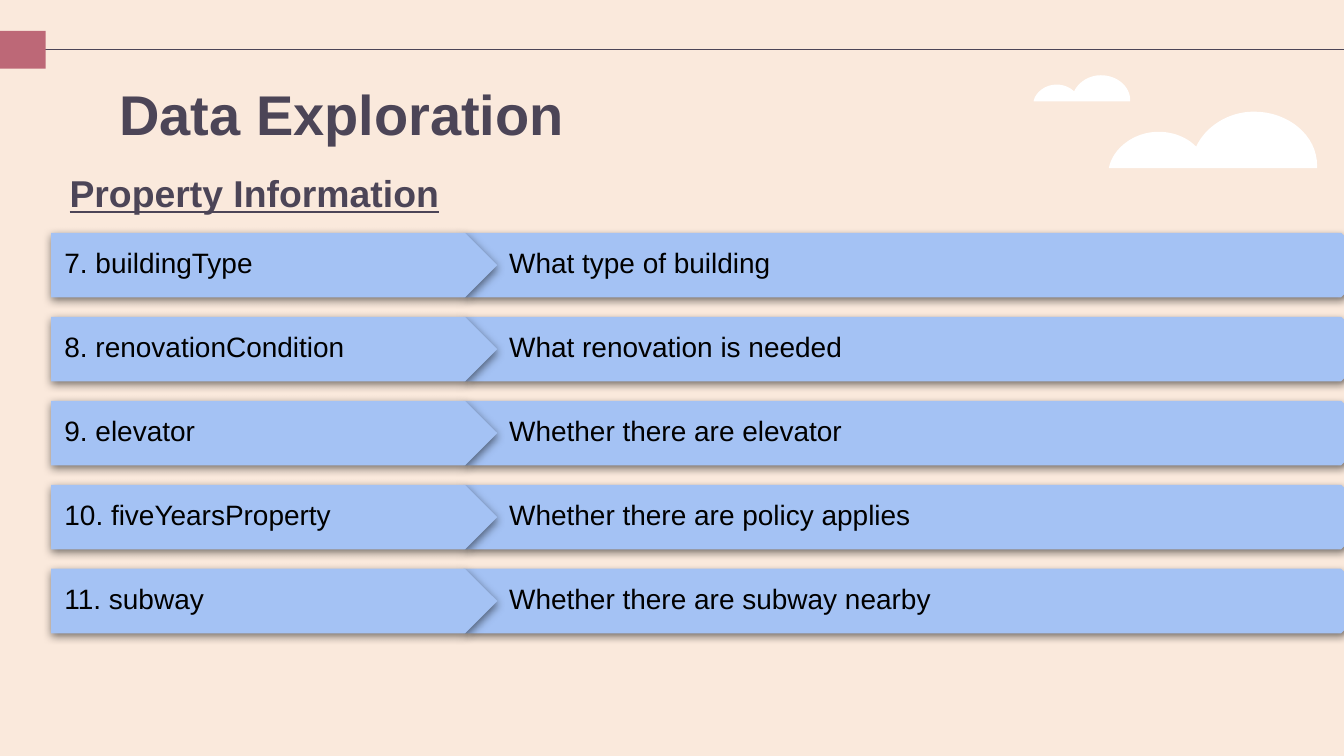
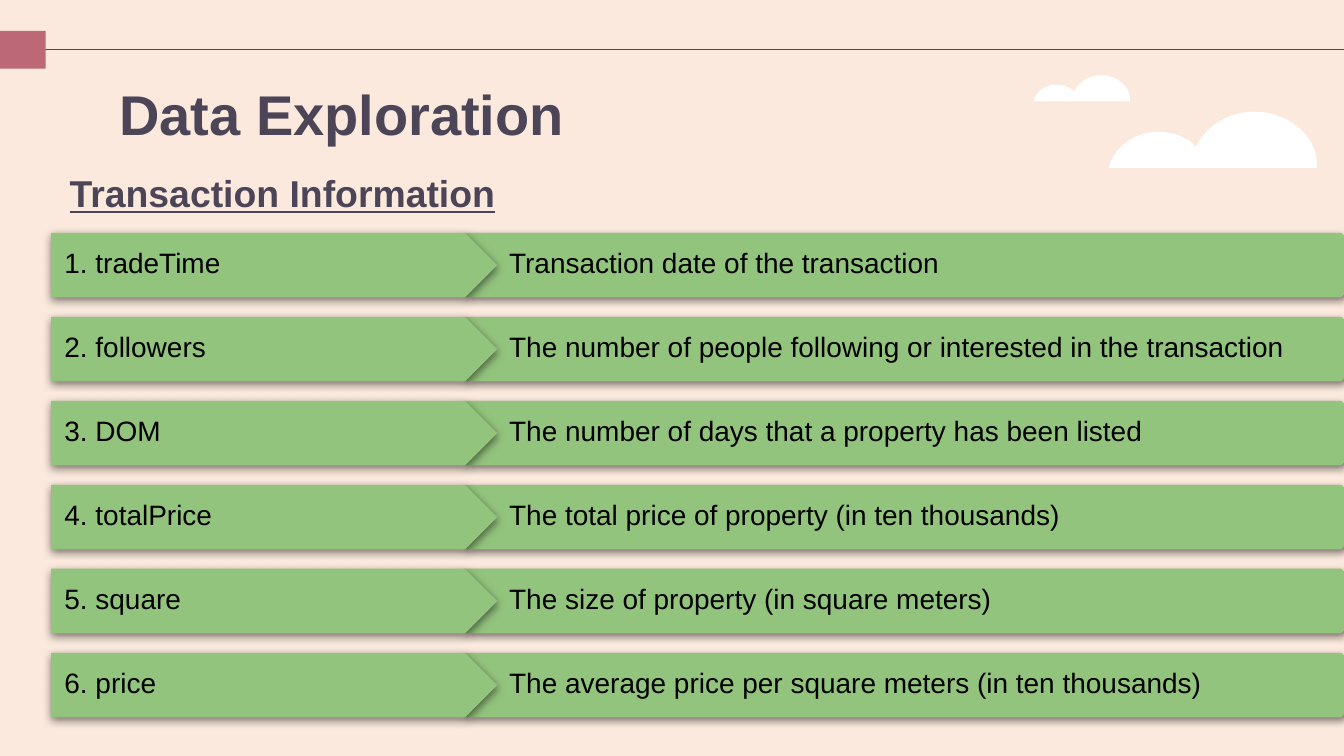
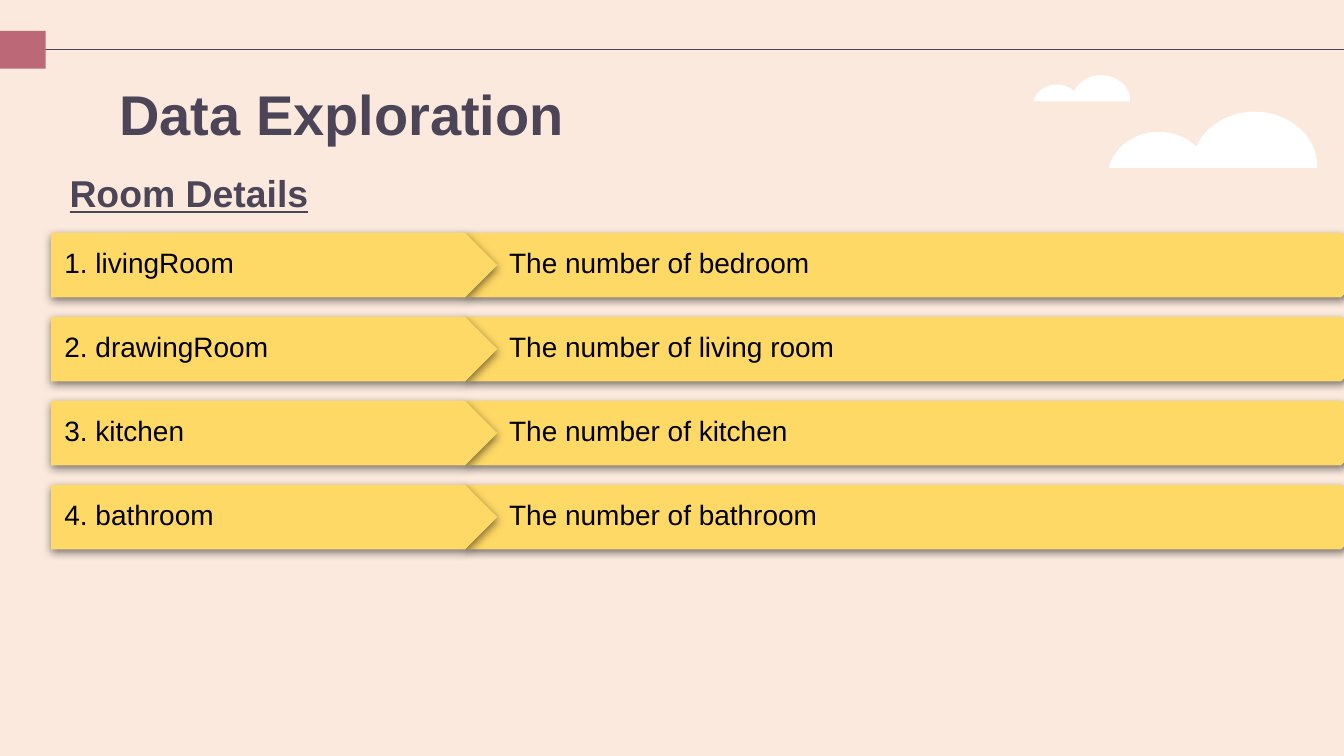
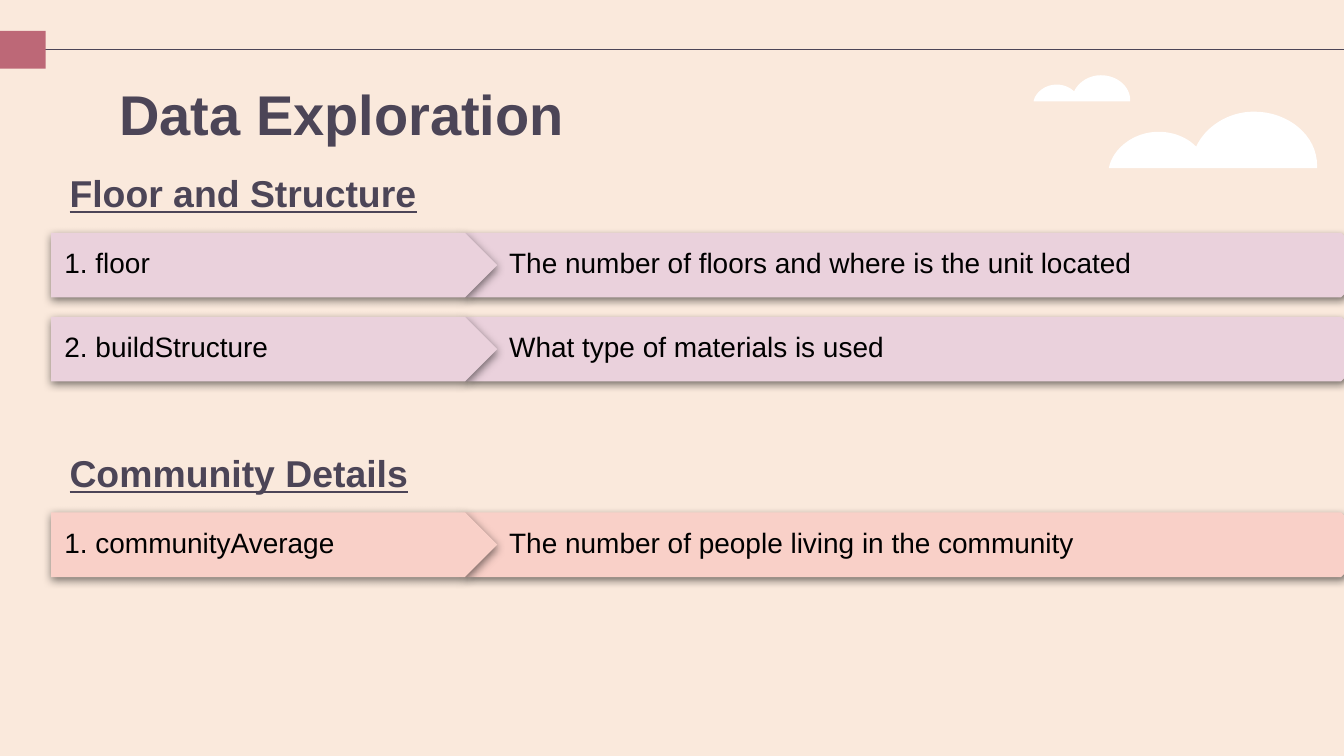
"""Build four slides that describe the variables of a housing data set."""
from lxml import etree
from pptx import Presentation
from pptx import util as u
from pptx.dml.color import RGBColor
from pptx.enum import shapes, text
from pptx.oxml import ns

COLORS = {
    "page": "FAE9DC", "ink": "4C4557", "tab": "BD6877", "cloud": "FFFFFF", "label": "000000",
    "blue": "A4C2F4", "green": "93C47D", "yellow": "FFD966", "mauve": "EAD1DC", "coral": "F9D0C8",
}

TITLE = "Data Exploration"

PAGES = [
    [("Property Information", "blue", 84.2, [
        ("7. buildingType", "What type of building"),
        ("8. renovationCondition", "What renovation is needed"),
        ("9. elevator", "Whether there are elevator"),
        ("10. fiveYearsProperty", "Whether there are policy applies"),
        ("11. subway", "Whether there are subway nearby"),
    ])],
    [("Transaction Information", "green", 84.2, [
        ("1. tradeTime", "Transaction date of the transaction"),
        ("2. followers", "The number of people following or interested in the transaction"),
        ("3. DOM", "The number of days that a property has been listed"),
        ("4. totalPrice", "The total price of property (in ten thousands)"),
        ("5. square", "The size of property (in square meters)"),
        ("6. price", "The average price per square meters (in ten thousands)"),
    ])],
    [("Room Details", "yellow", 84.2, [
        ("1. livingRoom", "The number of bedroom"),
        ("2. drawingRoom", "The number of living room"),
        ("3. kitchen", "The number of kitchen"),
        ("4. bathroom", "The number of bathroom"),
    ])],
    [("Floor and Structure", "mauve", 84.2, [
        ("1. floor", "The number of floors and where is the unit located"),
        ("2. buildStructure", "What type of materials is used"),
    ]), ("Community Details", "coral", 234, [
        ("1. communityAverage", "The number of people living in the community"),
    ])],
]

FORMATS = {
    "title": {"size": u.Pt(30), "bold": True},
    "heading": {"size": u.Pt(20), "bold": True, "underline": True},
    "row": {"size": u.Pt(15)},
}

INSET = 7.2
ROW_OFFSET, ROW_PITCH, ROW_HEIGHT = 40.5, 45, 34.6
NAME_LEFT, NAME_WIDTH = 27.4, 239
MEANING_LEFT, MEANING_WIDTH = 248.4, 487.4

CLOUD_WIDTH = 155
CLOUD_START = (155, 40)
CLOUD_CURVES = [
    [(155, 18), (134, 0), (108, 0)],
    [(89, 0), (72, 11), (65, 26)],
    [(58, 19), (48, 15), (37, 15)],
    [(19, 15), (3, 27), (0, 42)],
]
CLOUD_BASE = (155, 42)
CLOUDS = [(594, 59.8, 111.6), (553.7, 40.3, 51.8)]
CURVE_STEPS = 16


def color(name):
    return RGBColor.from_string(COLORS[name])


def points(*lengths):
    return [u.Pt(length) for length in lengths]


def paint(shape, fill):
    shape.shadow.inherit = False
    shape.fill.solid()
    shape.fill.fore_color.rgb = color(fill)
    shape.line.fill.background()


def write(shape, words, style, ink, anchor=text.MSO_ANCHOR.TOP, spacing=None):
    frame = shape.text_frame
    frame.word_wrap = True
    frame.vertical_anchor = anchor
    for side in ("left", "top", "right", "bottom"):
        setattr(frame, f"margin_{side}", u.Pt(INSET))
    para = frame.paragraphs[0]
    para.alignment = text.PP_ALIGN.LEFT
    para.line_spacing = spacing
    span = para.add_run()
    span.text = words
    span.font.name = "Arial"
    span.font.color.rgb = color(ink)
    for key, value in FORMATS[style].items():
        setattr(span.font, key, value)


def add_text(page, words, style, *place):
    write(page.shapes.add_textbox(*points(*place)), words, style, "ink")


def cast_shadow(shape):
    effects = shape._element.spPr.find(ns.qn("a:effectLst"))
    shadow = etree.SubElement(effects, ns.qn("a:outerShdw"), blurRad=str(u.Pt(4.5)),
                              dist=str(u.Pt(1.5)), dir="5400000", algn="bl", rotWithShape="0")
    tint = etree.SubElement(shadow, ns.qn("a:srgbClr"), val="000000")
    etree.SubElement(tint, ns.qn("a:alpha"), val="50000")


def add_arrow(page, kind, words, fill, *place):
    arrow = page.shapes.add_shape(kind, *points(*place))
    arrow.adjustments[0] = 0.5
    paint(arrow, fill)
    cast_shadow(arrow)
    write(arrow, words, "row", "label", text.MSO_ANCHOR.MIDDLE, 0.85)


def cloud_outline():
    outline = [CLOUD_START]
    for first, second, end in CLOUD_CURVES:
        start = outline[-1]
        for step in range(1, CURVE_STEPS + 1):
            t = step / CURVE_STEPS
            weights = ((1 - t) ** 3, 3 * t * (1 - t) ** 2, 3 * t ** 2 * (1 - t), t ** 3)
            corners = (start, first, second, end)
            outline.append(tuple(sum(w * corner[axis] for w, corner in zip(weights, corners))
                                 for axis in (0, 1)))
    return outline + [CLOUD_BASE]


def add_clouds(page):
    group = page.shapes.add_group_shape()
    for left, top, width in CLOUDS:
        scale = width / CLOUD_WIDTH
        outline = [points(left + x * scale, top + y * scale) for x, y in cloud_outline()]
        builder = group.shapes.build_freeform(*outline[0])
        builder.add_line_segments(outline[1:], close=True)
        paint(builder.convert_to_shape(), "cloud")


def add_frame(page):
    rule = page.shapes.add_connector(shapes.MSO_CONNECTOR.STRAIGHT, *points(0, 26.6, 720.7, 26.6))
    rule.line.color.rgb = color("ink")
    rule.line.width = u.Pt(0.75)
    etree.SubElement(rule._element.spPr, ns.qn("a:effectLst"))
    tab = page.shapes.add_shape(shapes.MSO_SHAPE.RECTANGLE, *points(2.2, 14.4, 20.2, 24.5))
    tab.rotation = 270
    paint(tab, "tab")
    add_text(page, TITLE, "title", 56.9, 35.3, 607, 45.4)
    add_clouds(page)


def add_section(page, heading, fill, top, rows):
    for index, (name, meaning) in enumerate(rows):
        row_top = top + ROW_OFFSET + index * ROW_PITCH
        add_arrow(page, shapes.MSO_SHAPE.CHEVRON, meaning, fill,
                  MEANING_LEFT, row_top, MEANING_WIDTH, ROW_HEIGHT)
        add_arrow(page, shapes.MSO_SHAPE.PENTAGON, name, fill,
                  NAME_LEFT, row_top, NAME_WIDTH, ROW_HEIGHT)
    add_text(page, heading, "heading", 30.2, top, 624.2, 29.5)


def main():
    deck = Presentation()
    deck.slide_width, deck.slide_height = points(720, 405)
    background = deck.slide_master.background.fill
    background.solid()
    background.fore_color.rgb = color("page")
    for sections in PAGES:
        page = deck.slides.add_slide(deck.slide_layouts[6])
        add_frame(page)
        for section in sections:
            add_section(page, *section)
    deck.save("out.pptx")


if __name__ == "__main__":
    main()
